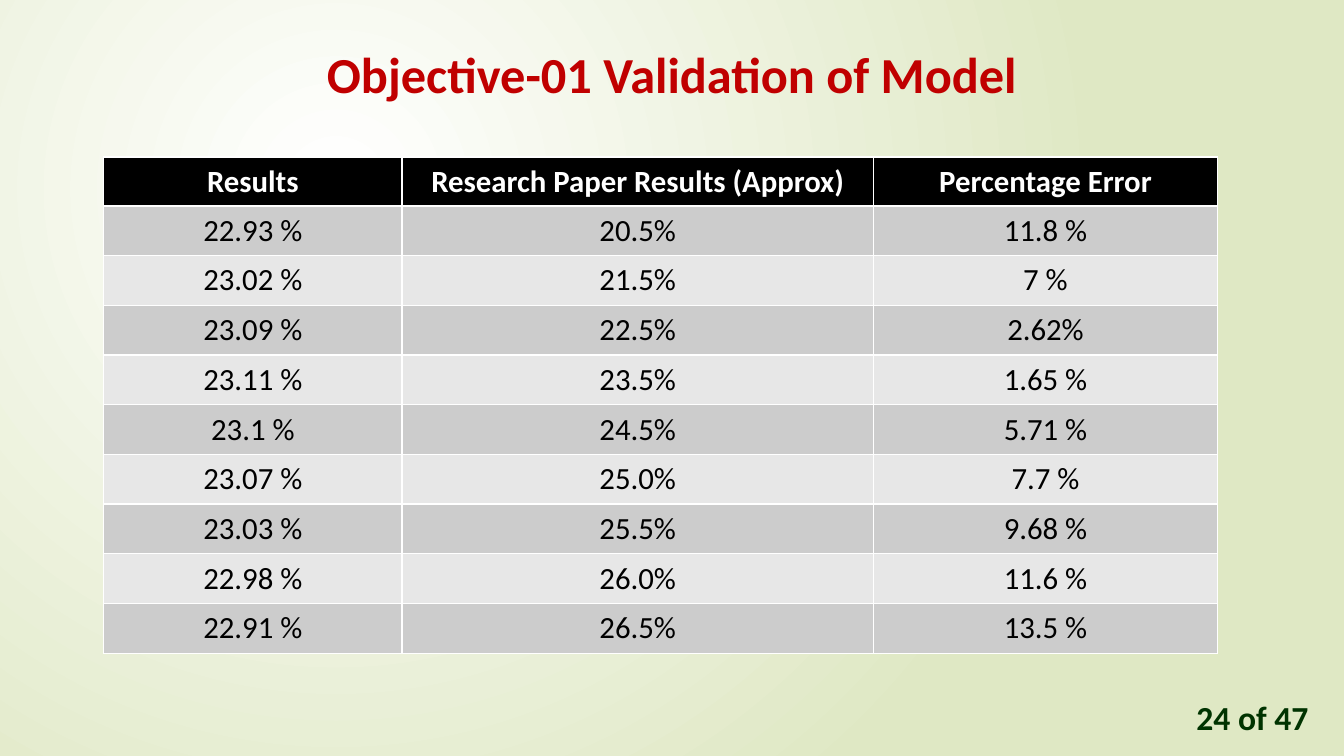
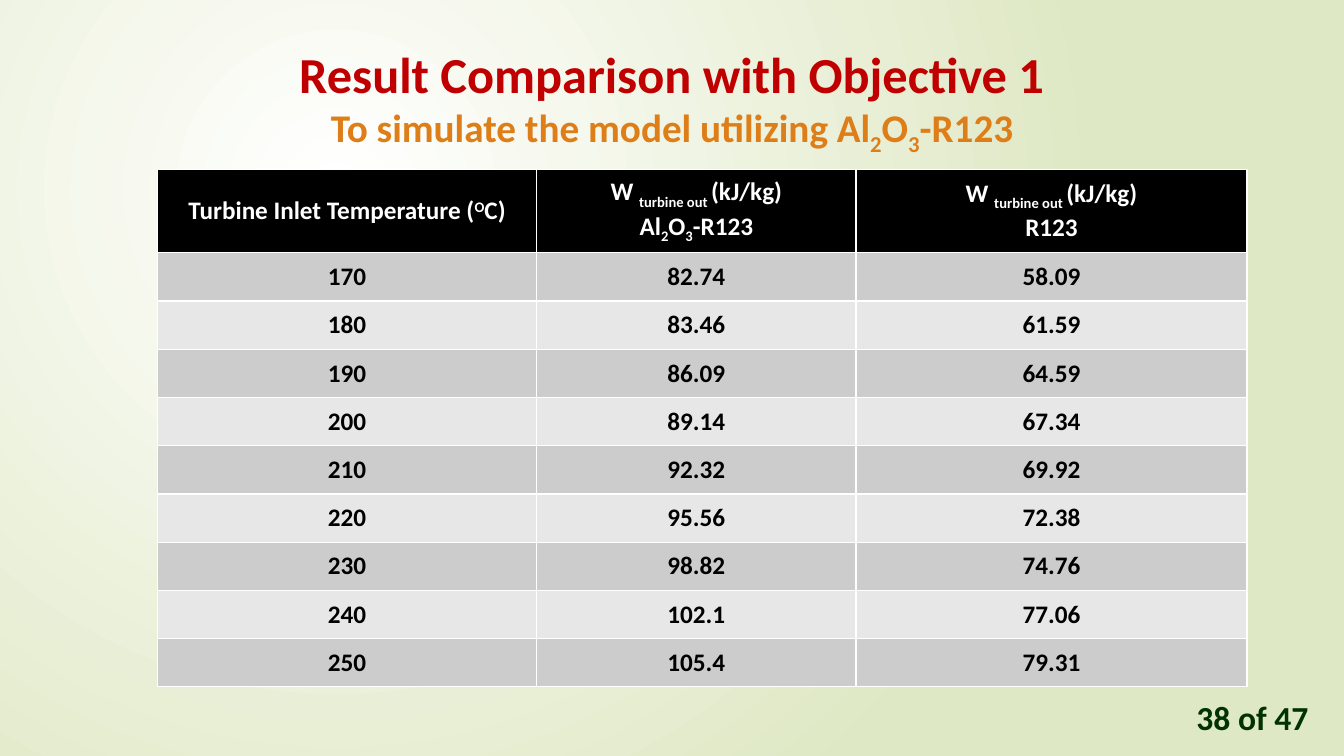
"""Build two result-table slides on a soft green radial background."""
from lxml import etree
from pptx import Presentation
from pptx.dml.color import RGBColor
from pptx.enum.text import MSO_ANCHOR, MSO_AUTO_SIZE, PP_ALIGN
from pptx.oxml.ns import qn
from pptx.util import Pt

CENTER, LEFT = PP_ALIGN.CENTER, PP_ALIGN.LEFT
TOP, MIDDLE = MSO_ANCHOR.TOP, MSO_ANCHOR.MIDDLE
NO_FIT = MSO_AUTO_SIZE.NONE

FONT = "Calibri"
WIDE, HIGH = 960, 540
WHITE, BLACK, PALE = "FFFFFF", "000000", "DFE8C4"
RED, ORANGE, GREEN = "C00000", "DE7E18", "003300"
BANDS = ("CCCCCC", "E7E7E7")
SUB, SUP = -25, 30
TOTAL = 47

OXIDE = ["Al", ("2", SUB), "O", ("3", SUB), "-R123"]
WORK = ["W ", ("turbine out ", SUB), "(kJ/kg)\n"]

SLIDES = [
    dict(
        page=24,
        title=[("Objective-01 Validation of Model", 36, RED)],
        depth=63,
        at=(74, 112.2),
        cols=(213.2, 336.6, 246),
        rows=(34.9, 35.5),
        size=22,
        bold=False,
        head=["Results", "Research Paper Results (Approx)", "Percentage Error"],
        body=[
            ("22.93 %", "20.5%", "11.8 %"),
            ("23.02 %", "21.5%", "7 %"),
            ("23.09 %", "22.5%", "2.62%"),
            ("23.11 %", "23.5%", "1.65 %"),
            ("23.1 %", "24.5%", "5.71 %"),
            ("23.07 %", "25.0%", "7.7 %"),
            ("23.03 %", "25.5%", "9.68 %"),
            ("22.98 %", "26.0%", "11.6 %"),
            ("22.91 %", "26.5%", "13.5 %"),
        ],
    ),
    dict(
        page=38,
        title=[
            ("Result Comparison with Objective 1", 36, RED),
            (["To simulate the model utilizing ", *OXIDE], 28, ORANGE),
        ],
        depth=94,
        at=(112.4, 121),
        cols=(271, 228, 279.4),
        rows=(59.6, 34.45),
        size=18,
        bold=True,
        head=[
            ["Turbine Inlet Temperature (", ("O", SUP), "C)"],
            [*WORK, *OXIDE],
            [*WORK, "R123"],
        ],
        body=[
            ("170", "82.74", "58.09"),
            ("180", "83.46", "61.59"),
            ("190", "86.09", "64.59"),
            ("200", "89.14", "67.34"),
            ("210", "92.32", "69.92"),
            ("220", "95.56", "72.38"),
            ("230", "98.82", "74.76"),
            ("240", "102.1", "77.06"),
            ("250", "105.4", "79.31"),
        ],
    ),
]


def color(code):
    """Turn a hex string into a colour."""
    return RGBColor.from_string(code)


def write(para, parts, size, tint, bold=True, align=CENTER):
    """Fill a paragraph with plain and shifted pieces of text."""
    para.alignment = align
    font = para.font
    font.name, font.size, font.bold = FONT, Pt(size), bold
    font.color.rgb = color(tint)
    for part in [parts] if isinstance(parts, str) else parts:
        text, shift = (part, 0) if isinstance(part, str) else part
        for i, line in enumerate(text.split("\n")):
            if i:
                para.add_line_break()
            if line:
                run = para.add_run()
                run.text = line
                if shift:
                    run._r.get_or_add_rPr().set("baseline", str(shift * 1000))


def place(shape, left, top, width, height):
    """Set the position and size of a shape."""
    shape.left, shape.top = Pt(left), Pt(top)
    shape.width, shape.height = Pt(width), Pt(height)


def paint(master):
    """Give the master its radial background."""
    fill = master.background.fill
    fill.gradient()
    for stop, tint in zip(fill.gradient_stops, (WHITE, PALE)):
        stop.color.rgb = color(tint)
    grad = master.element.find(".//" + qn("a:gradFill"))
    grad.remove(grad.find(qn("a:lin")))
    ring = etree.SubElement(grad, qn("a:path"), {"path": "circle"})
    sides = dict(l="50000", t="50000", r="100000", b="100000")
    etree.SubElement(ring, qn("a:fillToRect"), sides)


def add_title(slide, lines, depth):
    """Place the title and write its lines."""
    title = slide.shapes.title
    place(title, 0, 27, WIDE, depth)
    frame = title.text_frame
    frame.auto_size, frame.vertical_anchor = NO_FIT, TOP
    for i, (parts, size, tint) in enumerate(lines):
        para = frame.add_paragraph() if i else frame.paragraphs[0]
        write(para, parts, size, tint)


def add_grid(slide, data):
    """Add the banded table."""
    rows = [data["head"], *data["body"]]
    first, rest = data["rows"]
    left, top = data["at"]
    high = first + rest * len(data["body"])
    grid = slide.shapes.add_table(
        len(rows), len(data["cols"]),
        Pt(left), Pt(top), Pt(sum(data["cols"])), Pt(high)).table
    for col, width in zip(grid.columns, data["cols"]):
        col.width = Pt(width)
    for r, row in enumerate(rows):
        grid.rows[r].height = Pt(rest if r else first)
        band = BANDS[(r - 1) % 2] if r else BLACK
        tint, bold = (BLACK, data["bold"]) if r else (WHITE, True)
        for c, parts in enumerate(row):
            cell = grid.cell(r, c)
            cell.fill.solid()
            cell.fill.fore_color.rgb = color(band)
            cell.vertical_anchor = MIDDLE
            write(cell.text_frame.paragraphs[0], parts, data["size"], tint, bold)


def add_page(slide, page):
    """Add the page count at the lower right."""
    box = slide.shapes.add_textbox(Pt(847.5), Pt(494), Pt(101), Pt(37))
    box.text_frame.word_wrap = False
    write(box.text_frame.paragraphs[0], f"{page} of {TOTAL}", 24, GREEN, align=LEFT)


def main():
    """Build and save the slides."""
    deck = Presentation()
    deck.slide_width, deck.slide_height = Pt(WIDE), Pt(HIGH)
    paint(deck.slide_master)
    for data in SLIDES:
        slide = deck.slides.add_slide(deck.slide_layouts[5])
        add_title(slide, data["title"], data["depth"])
        add_grid(slide, data)
        add_page(slide, data["page"])
    deck.save("out.pptx")


if __name__ == "__main__":
    main()
